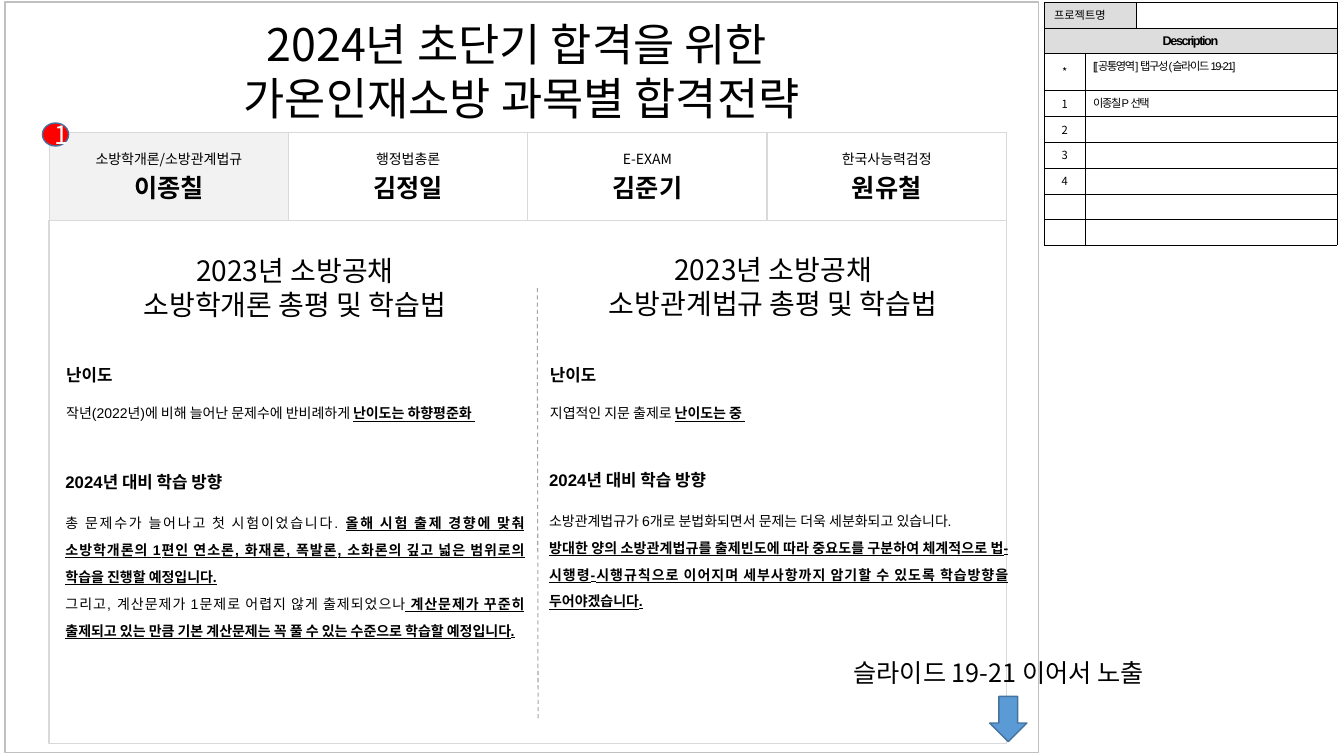
from lxml import etree
from pptx import Presentation
from pptx import util as u
from pptx.dml.color import RGBColor
from pptx.enum import dml, shapes, text
from pptx.oxml.ns import qn

Cm, Pt = u.Cm, u.Pt
NOTO, ARIAL = "Noto Sans CJK KR", "Arial"
LEFT, MID, JUST = text.PP_ALIGN.LEFT, text.PP_ALIGN.CENTER, text.PP_ALIGN.JUSTIFY


def hue(code):
    return RGBColor.from_string(code)


def write(frame, face, paras, tint="000000", track=0):
    for i, (align, lead, gap, runs) in enumerate(paras):
        para = frame.add_paragraph() if i else frame.paragraphs[0]
        para.alignment = align
        para.line_spacing = lead
        if gap:
            para.space_before = Pt(gap)
        for words, size, style in runs:
            run = para.add_run()
            run.text = words
            font = run.font
            font.size, font.name = Pt(size), face
            font.bold, font.underline = "b" in style, "u" in style
            font.color.rgb = hue(tint)
            props = run._r.get_or_add_rPr()
            etree.SubElement(props, qn("a:ea"), typeface=NOTO)
            props.set("kern", "0")
            if track:
                props.set("spc", str(track))


deck = Presentation()
deck.slide_width, deck.slide_height = Cm(33.87), Cm(19.05)
slide = deck.slides.add_slide(deck.slide_layouts[6])
items = slide.shapes
kind = shapes.MSO_SHAPE

notes = items.add_table(9, 3, Cm(26.31), Cm(0.05), Cm(7.38), Cm(6.14)).table
for col, wide in zip(notes.columns, [1.04, 1.27, 5.07]):
    col.width = Cm(wide)
for i, row in enumerate(notes.rows):
    row.height = Cm(0.93 if i == 2 else 0.65)
notes.cell(0, 0).merge(notes.cell(0, 1))
notes.cell(1, 0).merge(notes.cell(1, 2))
write(notes.cell(0, 0).text_frame, NOTO, [(LEFT, None, 0, [("프로젝트명", 8, "")])])
write(notes.cell(1, 0).text_frame, ARIAL, [(MID, None, 0, [("Description", 9, "b")])], track=-100)
marks = ["*", "1", "2", "3", "4", "", ""]
hints = ["[[공통영역] 탭구성(슬라이드 19-21]", "이종칠P 선택"] + [""] * 5
for i, (mark, hint) in enumerate(zip(marks, hints), 2):
    key, info = notes.cell(i, 0), notes.cell(i, 1)
    info.merge(notes.cell(i, 2))
    key.margin_left = key.margin_right = Cm(0.1)
    info.margin_left = info.margin_right = Cm(0.2)
    if mark:
        write(key.text_frame, NOTO, [(MID, None, 0, [(mark, 8, "")])])
    if hint:
        write(info.text_frame, ARIAL, [(LEFT, None, 0, [(hint, 8, "")])], track=-100)

tabs = items.add_table(1, 4, Cm(1.24), Cm(3.34), Cm(24.13), Cm(2.22)).table
tabs.rows[0].height = Cm(2.22)
staff = [("소방학개론/소방관계법규", "이종칠"), ("행정법총론", "김정일"),
         ("E-EXAM", "김준기"), ("한국사능력검정", "원유철")]
for i, (topic, name) in enumerate(staff):
    tabs.columns[i].width = Cm(6.03)
    write(tabs.cell(0, i).text_frame, NOTO,
          [(MID, None, 0, [(topic, 10, "")]), (MID, None, 0, [(name, 18, "b")])])

for grid, edge, thick in [(notes, "000000", 0.25), (tabs, "D9D9D9", 1)]:
    grid.first_row = grid.horz_banding = False
    for r, row in enumerate(grid.rows):
        for c, cell in enumerate(row.cells):
            cell.margin_top = cell.margin_bottom = Cm(0.1)
            if grid is tabs and c:
                cell.fill.background()
            else:
                cell.fill.solid()
                tone = "F2F2F2" if grid is tabs else "FFFFFF"
                if grid is notes and (r == 1 or r == 0 and c < 2):
                    tone = "DDDDDD"
                cell.fill.fore_color.rgb = hue(tone)
            if grid is tabs or c == 0 or r < 2:
                cell.vertical_anchor = text.MSO_ANCHOR.MIDDLE
            if not cell.text_frame.text:
                etree.SubElement(cell.text_frame.paragraphs[0]._p, qn("a:endParaRPr"), sz="800")
            props = cell._tc.get_or_add_tcPr()
            for i, side in enumerate(["lnL", "lnR", "lnT", "lnB"]):
                rule = etree.Element(qn("a:" + side), w=str(Pt(thick)))
                paint = etree.SubElement(rule, qn("a:solidFill"))
                etree.SubElement(paint, qn("a:srgbClr"), val=edge)
                props.insert(i, rule)

forms = {}
for name, form, x, y, w, h, fill, line in [
    ("frame", kind.RECTANGLE, 0.13, 0.05, 26.04, 18.92, None, "C0C0C0"),
    ("panel", kind.RECTANGLE, 1.24, 5.56, 24.13, 13.18, None, "D9D9D9"),
    ("badge", kind.OVAL, 1.07, 3.1, 0.66, 0.58, "FF0000", "43739E"),
    ("arrow", kind.DOWN_ARROW, 24.94, 17.55, 0.94, 1.14, "5B9BD5", "43739E"),
]:
    shape = items.add_shape(form, Cm(x), Cm(y), Cm(w), Cm(h))
    shape.shadow.inherit = False
    if fill:
        shape.fill.solid()
        shape.fill.fore_color.rgb = hue(fill)
    else:
        shape.fill.background()
    shape.line.color.rgb = hue(line)
    shape.line.width = Pt(1)
    forms[name] = shape

split = items.add_connector(shapes.MSO_CONNECTOR.STRAIGHT, Cm(13.54), Cm(7.26), Cm(13.56), Cm(18.14))
split.line.color.rgb = hue("A5A5A5")
split.line.width = Pt(0.75)
split.line.dash_style = dml.MSO_LINE.DASH
etree.SubElement(split._element.spPr, qn("a:effectLst"))

badge = forms["badge"].text_frame
badge.vertical_anchor = text.MSO_ANCHOR.MIDDLE
write(badge, NOTO, [(MID, None, 0, [("1", 18, "")])], "FFFFFF")

level = (LEFT, None, 0, [("난이도", 12, "b")])
plan = (JUST, 1.6, 0, [("2024년 대비 학습 방향", 12, "b")])
boxes = [
    (3.53, 0.3, 19.25, 3, NOTO, [
        (MID, None, 0, [("2024년 초단기 합격을 위한 ", 32, "")]),
        (MID, None, 0, [("가온인재소방 과목별 합격전략", 32, "")])]),
    (1.4, 6.27, 12.07, 1.96, NOTO, [
        (MID, None, 0, [("2023년 소방공채", 20, "")]),
        (MID, None, 0, [("소방학개론 총평 및 학습법", 20, "")])]),
    (13.92, 6.25, 11.13, 1.96, NOTO, [
        (MID, None, 0, [("2023년 소방공채", 20, "")]),
        (MID, None, 0, [("소방관계법규 총평 및 학습법", 20, "")])]),
    (1.42, 9.07, 12.07, 2.08, ARIAL, [
        level,
        (JUST, 1.6, 7, [("작년(2022년)에 비해 늘어난 문제수에 반비례하게 ", 10, ""),
                        ("난이도는 하향평준화 ", 10, "bu")])]),
    (1.4, 11.46, 12.07, 5.94, ARIAL, [
        plan,
        (JUST, 1.6, 9, [("총 문제수가 늘어나고 첫 시험이었습니다. ", 10, ""),
                        ("올해 시험 출제 경향에 맞춰 소방학개론의 1편인 연소론, 화재론, 폭발론, "
                         "소화론의 깊고 넓은 범위로의 학습을 진행할 예정입니다.", 10, "bu")]),
        (JUST, 1.6, 0, [("그리고, 계산문제가 1문제로 어렵지 않게 출제되었으나", 10, ""),
                        (" 계산문제가 꾸준히 출제되고 있는 만큼 기본 계산문제는 "
                         "꼭 풀 수 있는 수준으로 학습할 예정입니다.", 10, "bu")])]),
    (13.61, 9.07, 12.07, 2.08, ARIAL, [
        level,
        (JUST, 1.6, 7, [("지엽적인 지문 출제로 ", 10, ""), ("난이도는 중 ", 10, "bu")])]),
    (13.59, 11.4, 12.07, 4.57, ARIAL, [
        plan,
        (JUST, 1.6, 9, [("소방관계법규가 6개로 분법화되면서 문제는 더욱 세분화되고 있습니다.", 10, "")]),
        (JUST, 1.6, 0, [("방대한 양의 소방관계법규를 출제빈도에 따라 중요도를 구분하여 체계적으로 "
                         "법-시행령-시행규칙으로 이어지며 세부사항까지 암기할 수 있도록 "
                         "학습방향을 두어야겠습니다.", 10, "bu")])]),
    (21.26, 16.43, 8.89, 1.02, NOTO, [
        (LEFT, None, 0, [("슬라이드 19-21 이어서 노출", 18, "")])]),
]
for x, y, w, h, face, paras in boxes:
    frame = items.add_textbox(Cm(x), Cm(y), Cm(w), Cm(h)).text_frame
    frame.word_wrap = True
    frame.auto_size = text.MSO_AUTO_SIZE.SHAPE_TO_FIT_TEXT
    write(frame, face, paras)

deck.save("out.pptx")
